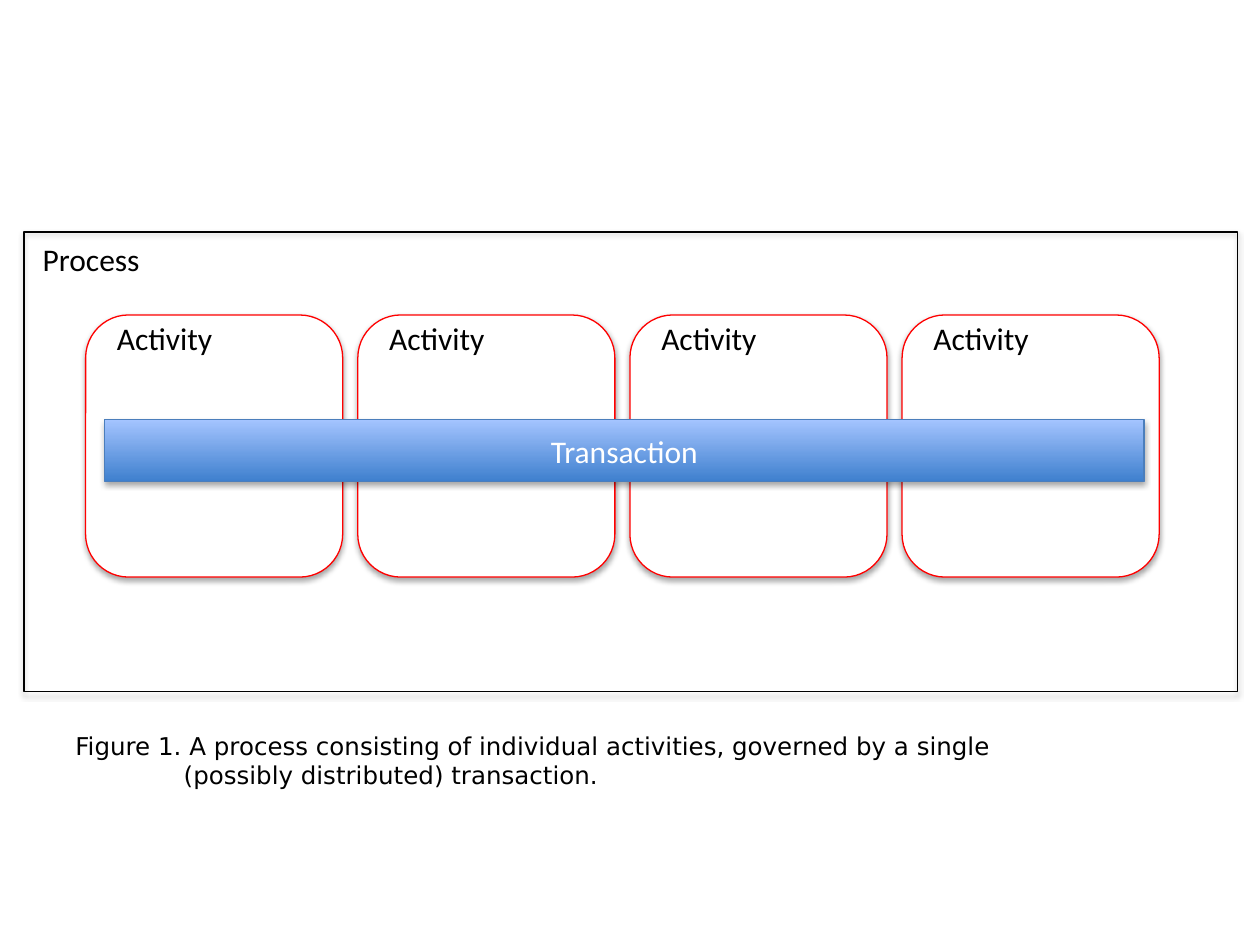
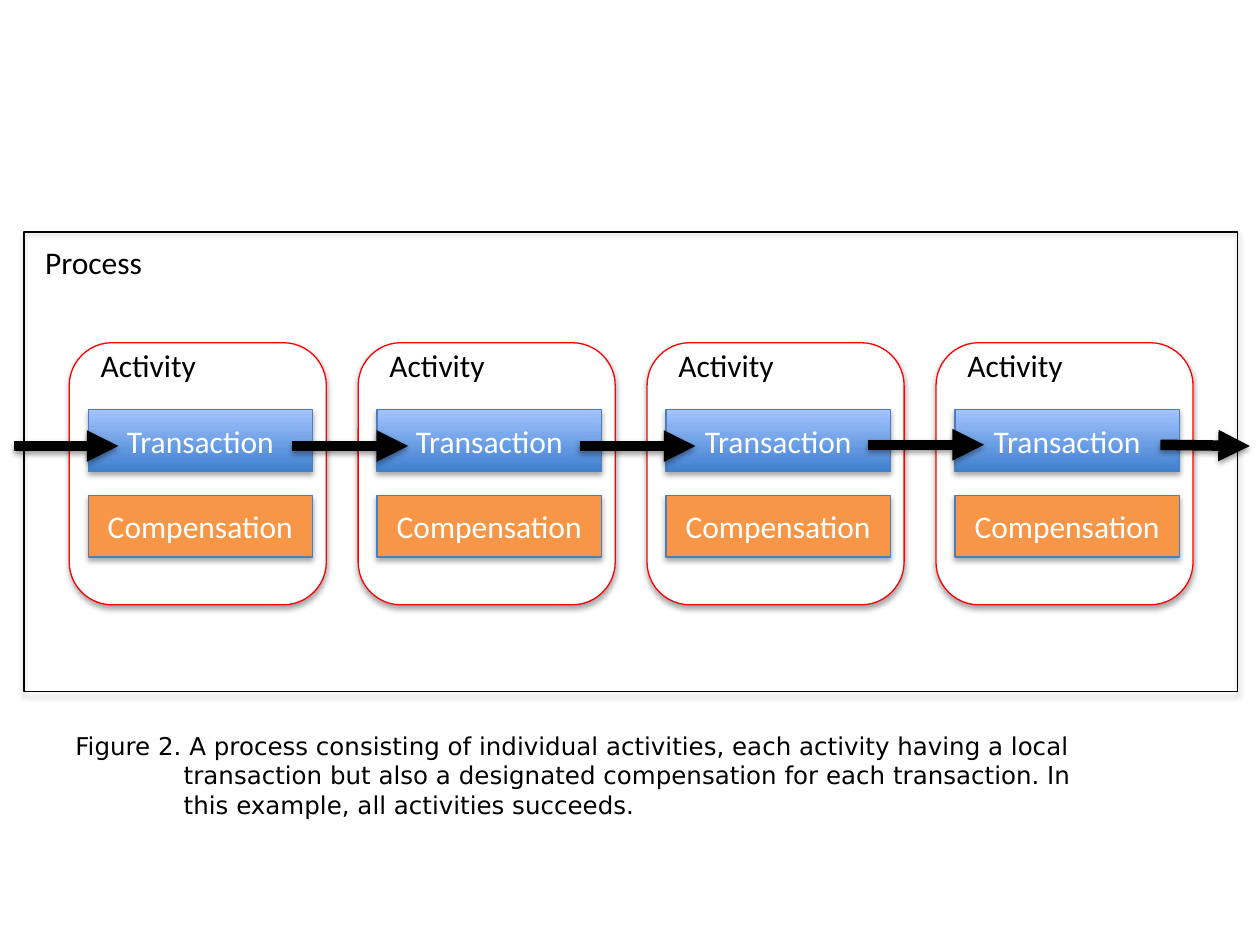
"""Builds two figures of a process made of transactional activities."""
from lxml.etree import SubElement
from pptx import Presentation
from pptx.dml.color import RGBColor
from pptx.enum.shapes import MSO_CONNECTOR as CONN, MSO_SHAPE as SHAPE
from pptx.enum.text import MSO_ANCHOR as ANCHOR, MSO_AUTO_SIZE as AUTO, PP_ALIGN as ALIGN
from pptx.oxml.ns import qn
from pptx.util import Inches, Pt

COLORS = {
    "black": "000000", "white": "FFFFFF", "red": "FF0000", "edge": "4B7EBC",
    "blue_dark": "3F80CE", "blue_light": "A4C4FF", "orange": "F79646",
}
BLUE = ("blue_dark", "blue_light")
LABEL = {"name": "Calibri", "size": Pt(18)}
CAPTION = {"name": "DejaVu Sans", "size": Pt(14)}

PROCESS_BOX = (0.19, 1.84, 9.63, 3.65)
ACTIVITY_SIZE = (2.04, 2.08)
ACTIVITY_COUNT = 4
INSET = 0.15
STEP_HEIGHT = 0.49
HANGING = 0.86

FIGURES = [
    {
        "process_at": (0.24, 1.86),
        "activities": {"left": 0.68, "top": 2.5, "pitch": 2.16},
        "steps": [],
        "bars": [("Transaction", (0.83, 3.33, 8.25, STEP_HEIGHT), BLUE)],
        "arrows": [],
        "caption": ["Figure 1. A process consisting of individual activities, governed by a single",
                    "(possibly distributed) transaction."],
        "caption_height": 0.57,
    },
    {
        "process_at": (0.26, 1.88),
        "activities": {"left": 0.55, "top": 2.72, "pitch": 2.293},
        "steps": [("Transaction", 0.53, BLUE), ("Compensation", 1.21, "orange")],
        "bars": [],
        "arrows": [(0.11, 3.54, 0.94, 3.54), (2.32, 3.54, 3.24, 3.54), (4.6, 3.54, 5.52, 3.54),
                   (6.89, 3.53, 7.81, 3.53), (9.21, 3.53, 9.92, 3.54)],
        "caption": ["Figure 2. A process consisting of individual activities, each activity having a local",
                    "transaction but also a designated compensation for each transaction. In",
                    "this example, all activities succeeds."],
        "caption_height": 0.81,
    },
]


def rgb(name):
    return RGBColor.from_string(COLORS[name])


def inches(values):
    return [Inches(v) for v in values]


def write(tf, text, style, color):
    p = tf.paragraphs[0]
    p.text = text
    for r in p.runs:
        for key, value in style.items():
            setattr(r.font, key, value)
        r.font.color.rgb = rgb(color)
    return p


def add_shadow(s, opacity, dist):
    effects = SubElement(s._element.spPr, qn("a:effectLst"))
    shadow = SubElement(effects, qn("a:outerShdw"), blurRad=str(Pt(3.15)), dist=str(Pt(dist)),
                        dir="5400000", rotWithShape="0")
    color = SubElement(shadow, qn("a:srgbClr"), val=COLORS["black"])
    SubElement(color, qn("a:alpha"), val=str(opacity * 1000))


def add_box(shapes, kind, at, line, fill=None, text=None):
    s = shapes.add_shape(kind, *inches(at))
    if fill is None:
        s.fill.background()
    elif isinstance(fill, tuple):
        s.fill.gradient()
        s.fill.gradient_angle = 90
        for stop, name in zip(s.fill.gradient_stops, fill):
            stop.color.rgb = rgb(name)
    else:
        s.fill.solid()
        s.fill.fore_color.rgb = rgb(fill)
    s.line.color.rgb = rgb(line)
    s.line.width = Pt(0.75)
    add_shadow(s, 35, 1.8)
    if text:
        s.text_frame.vertical_anchor = ANCHOR.MIDDLE
        write(s.text_frame, text, LABEL, "white").alignment = ALIGN.CENTER


def add_text(shapes, at, text, style, wrap=False):
    tf = shapes.add_textbox(*inches(at)).text_frame
    tf.word_wrap = wrap
    tf.auto_size = AUTO.SHAPE_TO_FIT_TEXT
    return write(tf, text, style, "black")


def add_activity(shapes, left, top, steps):
    group = shapes.add_group_shape().shapes
    width, height = ACTIVITY_SIZE
    add_box(group, SHAPE.ROUNDED_RECTANGLE, (left, top, width, height), "red", "white")
    for text, offset, fill in steps:
        at = (left + INSET, top + offset, 1.78, STEP_HEIGHT)
        add_box(group, SHAPE.RECTANGLE, at, "edge", fill, text)
    add_text(group, (left + INSET, top - 0.02, 0.97, 0.4), "Activity", LABEL)


def add_arrow(shapes, ends):
    c = shapes.add_connector(CONN.STRAIGHT, *inches(ends))
    c.line.color.rgb = rgb("black")
    c.line.width = Pt(6)
    SubElement(c.line._get_or_add_ln(), qn("a:tailEnd"), type="triangle")
    add_shadow(c, 38, 1.6)


def add_figure(prs, fig):
    shapes = prs.slides.add_slide(prs.slide_layouts[6]).shapes
    add_box(shapes, SHAPE.FLOWCHART_PROCESS, PROCESS_BOX, "black")
    add_text(shapes, (*fig["process_at"], 0.99, 0.4), "Process", LABEL)
    grid = fig["activities"]
    for i in range(ACTIVITY_COUNT):
        add_activity(shapes, grid["left"] + i * grid["pitch"], grid["top"], fig["steps"])
    for text, at, fill in fig["bars"]:
        add_box(shapes, SHAPE.RECTANGLE, at, "edge", fill, text)
    for ends in fig["arrows"]:
        add_arrow(shapes, ends)
    p = add_text(shapes, (0.5, 5.75, 8.31, fig["caption_height"]),
                 "\v".join(fig["caption"]), CAPTION, wrap=True)
    pPr = p._p.get_or_add_pPr()
    pPr.set("marL", str(Inches(HANGING)))
    pPr.set("indent", str(-Inches(HANGING)))


def main():
    prs = Presentation()
    prs.slide_width, prs.slide_height = inches((10, 7.5))
    for fig in FIGURES:
        add_figure(prs, fig)
    prs.save("out.pptx")


if __name__ == "__main__":
    main()
